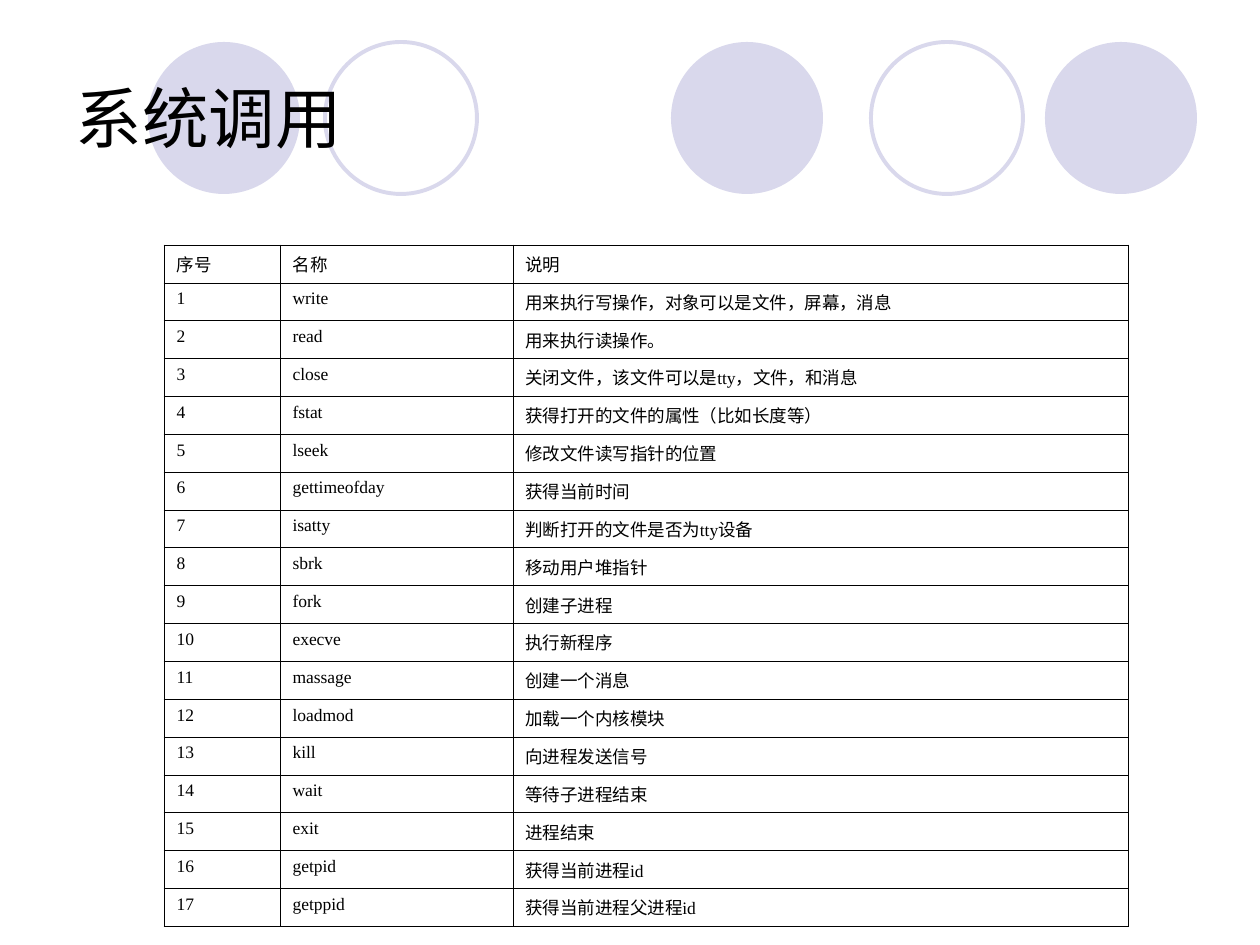
from lxml import etree
from pptx import Presentation, util as u
from pptx.dml.color import RGBColor
from pptx.enum import shapes, text
from pptx.oxml.ns import qn

PX = u.Inches(1) / 126
HUES = {"ink": "000000", "disc": "D9D8EC", "page": "FFFFFF"}


def px(*nums):
    return [u.Emu(round(n * PX)) for n in nums]


def hue(name):
    return RGBColor.from_string(HUES[name])


deck = Presentation()
deck.slide_width, deck.slide_height = px(1260, 945)
slide = deck.slides.add_slide(deck.slide_layouts[5])
slide.background.fill.solid()
slide.background.fill.fore_color.rgb = hue("page")

discs = slide.shapes.add_group_shape()
for left, solid in [(671, True), (1045, True), (148, True), (871, False), (325, False)]:
    disc = discs.shapes.add_shape(shapes.MSO_SHAPE.OVAL, *px(left, 42, 152, 152))
    disc.shadow.inherit = False
    if solid:
        disc.fill.solid()
        disc.fill.fore_color.rgb = hue("disc")
        disc.line.fill.background()
    else:
        disc.fill.background()
        disc.line.color.rgb = hue("disc")
        disc.line.width = u.Pt(2.25)

title = slide.shapes.title
slide.shapes._spTree.append(title._element)
title.left, title.top, title.width, title.height = px(63, 38, 1134, 157)
frame = title.text_frame
frame.text = "系统调用"
frame.auto_size = text.MSO_AUTO_SIZE.NONE
frame.vertical_anchor = text.MSO_ANCHOR.MIDDLE
para = frame.paragraphs[0]
para.alignment = text.PP_ALIGN.LEFT
para.font.size = u.Pt(38)
para.font.name = "Arial"
para.font.color.rgb = hue("ink")

calls = [
    ("write", "用来执行写操作，对象可以是文件，屏幕，消息"),
    ("read", "用来执行读操作。"),
    ("close", "关闭文件，该文件可以是tty，文件，和消息"),
    ("fstat", "获得打开的文件的属性（比如长度等）"),
    ("lseek", "修改文件读写指针的位置"),
    ("gettimeofday", "获得当前时间"),
    ("isatty", "判断打开的文件是否为tty设备"),
    ("sbrk", "移动用户堆指针"),
    ("fork", "创建子进程"),
    ("execve", "执行新程序"),
    ("massage", "创建一个消息"),
    ("loadmod", "加载一个内核模块"),
    ("kill", "向进程发送信号"),
    ("wait", "等待子进程结束"),
    ("exit", "进程结束"),
    ("getpid", "获得当前进程id"),
    ("getppid", "获得当前进程父进程id"),
]
rows = [("序号", "名称", "说明")]
rows += [(str(n), name, note) for n, (name, note) in enumerate(calls, 1)]

table = slide.shapes.add_table(len(rows), 3, *px(164, 245, 964, 624)).table
table.first_row = table.horz_banding = False
for col, width in zip(table.columns, px(116, 233, 615)):
    col.width = width
indent = px(48)[0]

for r, row in enumerate(rows):
    table.rows[r].height = px(35 - r % 2)[0]
    for c, word in enumerate(row):
        cell = table.cell(r, c)
        cell.text = word
        para = cell.text_frame.paragraphs[0]
        para.font.size = u.Pt(10)
        para.font.name = "Times New Roman"
        para.font.color.rgb = hue("ink")
        props = para._p.get_or_add_pPr()
        props.set("marL", str(indent))
        props.set("indent", str(-indent))
        box = cell._tc.get_or_add_tcPr()
        for side in ("lnL", "lnR", "lnT", "lnB"):
            edge = etree.SubElement(box, qn("a:" + side), w=str(u.Pt(0.45)))
            fill = etree.SubElement(edge, qn("a:solidFill"))
            etree.SubElement(fill, qn("a:srgbClr"), val=HUES["ink"])
        cell.fill.background()

deck.save("out.pptx")
